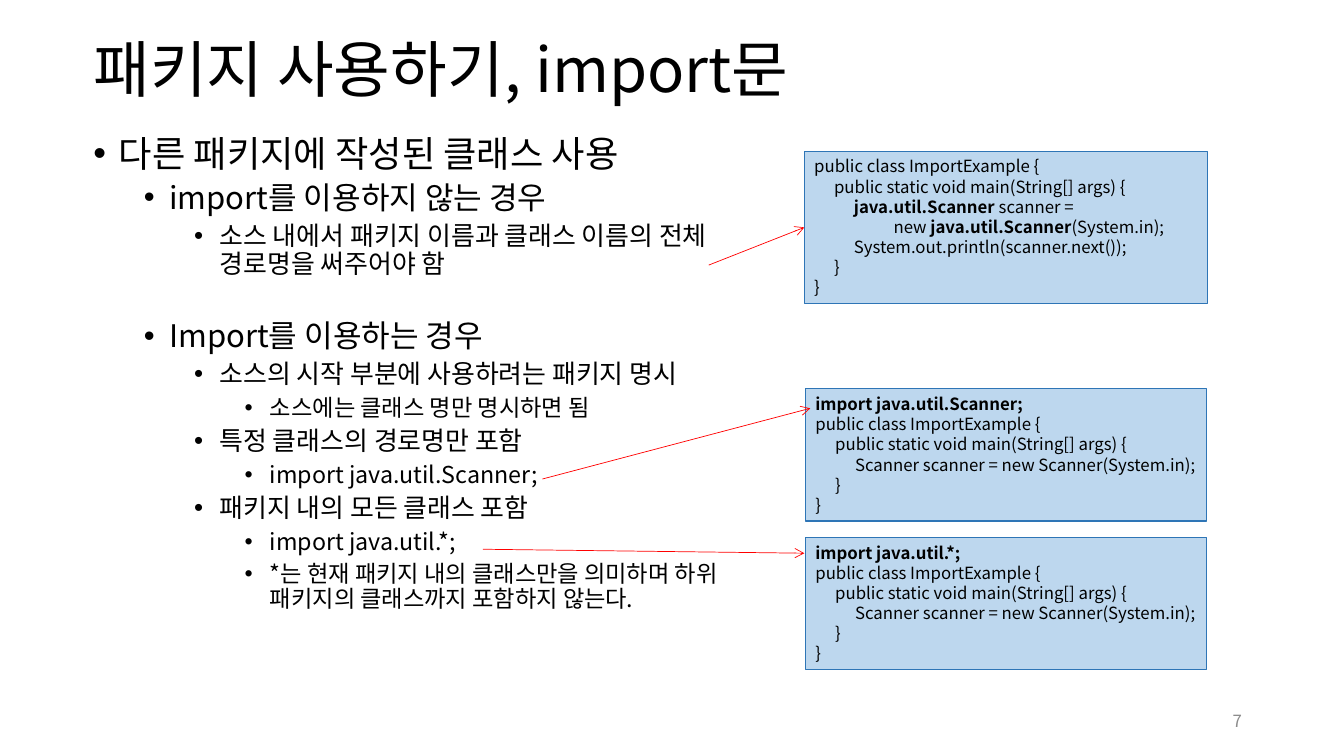
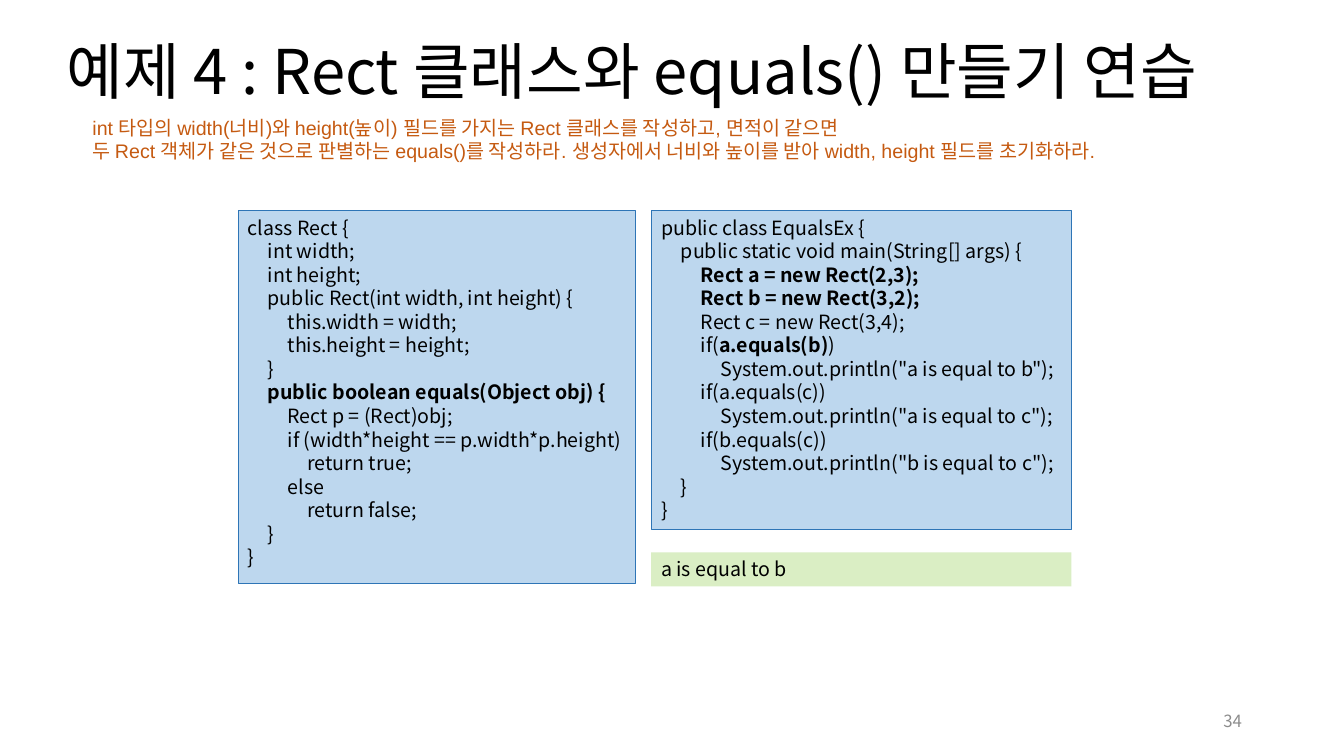
"""Build two lecture slides on Java imports and on an equals() exercise."""
from dataclasses import dataclass

from lxml.etree import SubElement
from pptx import Presentation
from pptx.dml.color import RGBColor
from pptx.enum.shapes import MSO_CONNECTOR as Connector, MSO_SHAPE as Shape
from pptx.enum.text import MSO_ANCHOR as Anchor, MSO_AUTO_SIZE as AutoSize, PP_ALIGN as Align
from pptx.oxml.ns import qn
from pptx.util import Cm, Pt


@dataclass(frozen=True)
class Theme:
    font: str = "Noto Sans CJK KR"
    statement_font: str = "Arial"
    ink: str = "000000"
    muted: str = "8C8C8C"
    statement: str = "C55A11"
    code_fill: str = "BDD7EE"
    code_line: str = "2E75B6"
    output_fill: str = "DAEEC4"
    arrow: str = "FF0000"
    title_size: float = 44
    number_size: float = 12
    import_code_size: float = 12
    exercise_size: float = 14
    level_sizes: tuple = (25.9, 22.2, 18.5, 16.6)
    line_spacing: float = 0.9
    code_tab: float = 0.5


THEME = Theme()
TITLE_ONLY, TITLE_AND_BODY = 5, 1
BOLD_MARK = "`"

IMPORT_TITLE = "패키지 사용하기, import문"
IMPORT_TITLE_AREA = (2.1, 0, 29.21, 3.68)
OUTLINE_AREA = (2.1, 3.3, 17.27, 13)
OUTLINE = [
    (0, "다른 패키지에 작성된 클래스 사용", 0),
    (1, "import를 이용하지 않는 경우", 5),
    (2, "소스 내에서 패키지 이름과 클래스 이름의 전체 경로명을 써주어야 함", 5),
    (1, "Import를 이용하는 경우", 30),
    (2, "소스의 시작 부분에 사용하려는 패키지 명시", 5),
    (3, "소스에는 클래스 명만 명시하면 됨", 5),
    (2, "특정 클래스의 경로명만 포함", 5),
    (3, "import java.util.Scanner;", 5),
    (2, "패키지 내의 모든 클래스 포함", 5),
    (3, "import java.util.*;", 5),
    (3, "*는 현재 패키지 내의 클래스만을 의미하며 하위 패키지의 클래스까지 포함하지 않는다.", 5),
]

QUALIFIED_CODE = """public class ImportExample {
    public static void main(String[] args) {
        `java.util.Scanner` scanner =
                new `java.util.Scanner`(System.in);
        System.out.println(scanner.next());
    }
}"""
IMPORTED_CODE = """`import java.util.%s;`
public class ImportExample {
    public static void main(String[] args) {
        Scanner scanner = new Scanner(System.in);
    }
}"""
IMPORT_EXAMPLES = [
    (QUALIFIED_CODE, (20.27, 3.81, 10.16, 3.84)),
    (IMPORTED_CODE % "Scanner", (20.3, 9.8, 10.11, 3.33)),
    (IMPORTED_CODE % "*", (20.3, 13.54, 10.11, 3.33)),
]
JOINED_ARROW_START = (17.86, 6.68)
FREE_ARROWS = [((13.67, 12.07), (20.42, 10.29)), ((12.17, 13.84), (20.27, 13.94))]

EXERCISE_TITLE = "예제 4 : Rect 클래스와 equals() 만들기 연습"
EXERCISE_TITLE_AREA = (1.42, 0.05, 31.65, 3.68)
STATEMENT_AREA = (2.08, 2.79, 29.21, 1.45)
STATEMENT = """int 타입의 width(너비)와 height(높이) 필드를 가지는 Rect 클래스를 작성하고, 면적이 같으면
두 Rect 객체가 같은 것으로 판별하는 equals()를 작성하라. 생성자에서 너비와 높이를 받아 width, height 필드를 초기화하라."""
RECT_CODE = """class Rect {
    int width;
    int height;
    public Rect(int width, int height) {
        this.width = width;
        this.height = height;
    }
    `public boolean equals(Object obj) {`
        Rect p = (Rect)obj;
        if (width*height == p.width*p.height)
            return true;
        else
            return false;
    }
}"""
EQUALS_CODE = """public class EqualsEx {
    public static void main(String[] args) {
        `Rect a = new Rect(2,3);`
        `Rect b = new Rect(3,2);`
        Rect c = new Rect(3,4);
        if(`a.equals(b)`)
            System.out.println("a is equal to b");
        if(a.equals(c))
            System.out.println("a is equal to c");
        if(b.equals(c))
            System.out.println("b is equal to c");
    }
}"""
EXERCISE_CODE = [
    (RECT_CODE, (6, 5.31, 10.01, 9.4)),
    (EQUALS_CODE, (16.41, 5.31, 10.59, 8.03)),
]
OUTPUT = "a is equal to b"
OUTPUT_AREA = (16.41, 13.92, 10.59, 0.86)
NUMBER_AREA = (23.93, 17.65, 7.62, 1.02)


def lengths(values):
    return [Cm(value) for value in values]


def color(code):
    return RGBColor.from_string(code)


def add_run(paragraph, text, size, ink=THEME.ink, font=THEME.font, bold=False):
    run = paragraph.add_run()
    run.text = text
    run.font.size = Pt(size)
    run.font.bold = bold
    run.font.name = font
    run.font.color.rgb = color(ink)
    SubElement(run._r.rPr, qn("a:ea"), typeface=THEME.font)


def paragraphs(frame, count):
    return [frame.paragraphs[0]] + [frame.add_paragraph() for _ in range(count - 1)]


def place(part, area):
    part.left, part.top, part.width, part.height = lengths(area)
    part.text_frame.auto_size = AutoSize.NONE
    part.text_frame.word_wrap = True
    return part.text_frame


def set_title(slide, text, area):
    frame = place(slide.shapes.title, area)
    frame.vertical_anchor = Anchor.MIDDLE
    heading = frame.paragraphs[0]
    heading.alignment = Align.LEFT
    heading.line_spacing = THEME.line_spacing
    add_run(heading, text, THEME.title_size)


def fill_outline(body):
    frame = place(body, OUTLINE_AREA)
    for item, (level, text, before) in zip(paragraphs(frame, len(OUTLINE)), OUTLINE):
        item.level = level
        item.line_spacing = THEME.line_spacing
        item.space_before = Pt(before)
        props = item._p.get_or_add_pPr()
        props.set("marL", str(Cm(0.64 + 1.27 * level)))
        props.set("indent", str(Cm(-0.64)))
        SubElement(props, qn("a:buFont"), typeface="Arial")
        SubElement(props, qn("a:buChar"), char="•")
        add_run(item, text, THEME.level_sizes[level])


def add_panel(slide, area, fill, border=None):
    panel = slide.shapes.add_shape(Shape.RECTANGLE, *lengths(area))
    panel.shadow.inherit = False
    panel.fill.solid()
    panel.fill.fore_color.rgb = color(fill)
    if border:
        panel.line.color.rgb = color(border)
        panel.line.width = Pt(0.75)
    else:
        panel.line.fill.background()
    panel.text_frame.word_wrap = True
    panel.text_frame.vertical_anchor = Anchor.TOP
    return panel


def add_code(slide, code, area, size):
    panel = add_panel(slide, area, THEME.code_fill, THEME.code_line)
    lines = code.replace("    ", "\t").splitlines()
    for row, line in zip(paragraphs(panel.text_frame, len(lines)), lines):
        row.alignment = Align.LEFT
        stops = SubElement(row._p.get_or_add_pPr(), qn("a:tabLst"))
        for step in range(1, 6):
            SubElement(stops, qn("a:tab"), pos=str(Cm(THEME.code_tab * step)), algn="l")
        for index, part in enumerate(line.split(BOLD_MARK)):
            if part:
                add_run(row, part, size, bold=index % 2 == 1)
    return panel


def add_arrow(slide, start, end):
    arrow = slide.shapes.add_connector(Connector.STRAIGHT, *lengths(start + end))
    arrow.line.color.rgb = color(THEME.arrow)
    arrow.line.width = Pt(0.5)
    SubElement(arrow.line._get_or_add_ln(), qn("a:tailEnd"), type="arrow")
    SubElement(arrow._element.spPr, qn("a:effectLst"))
    return arrow


def add_number(slide, number):
    frame = place(slide.shapes.add_textbox(*lengths(NUMBER_AREA)), NUMBER_AREA)
    frame.vertical_anchor = Anchor.MIDDLE
    frame.paragraphs[0].alignment = Align.RIGHT
    add_run(frame.paragraphs[0], str(number), THEME.number_size, THEME.muted)


def build_import_slide(deck):
    slide = deck.slides.add_slide(deck.slide_layouts[TITLE_AND_BODY])
    set_title(slide, IMPORT_TITLE, IMPORT_TITLE_AREA)
    fill_outline(slide.placeholders[1])
    examples = [add_code(slide, code, area, THEME.import_code_size)
                for code, area in IMPORT_EXAMPLES]
    add_number(slide, 7)
    left, top, _, height = IMPORT_EXAMPLES[0][1]
    joined = add_arrow(slide, JOINED_ARROW_START, (left, top + height / 2))
    joined.end_connect(examples[0], 1)
    for start, end in FREE_ARROWS:
        add_arrow(slide, start, end)


def build_exercise_slide(deck):
    slide = deck.slides.add_slide(deck.slide_layouts[TITLE_ONLY])
    set_title(slide, EXERCISE_TITLE, EXERCISE_TITLE_AREA)
    statement = place(slide.shapes.add_textbox(*lengths(STATEMENT_AREA)), STATEMENT_AREA)
    lines = STATEMENT.splitlines()
    for row, line in zip(paragraphs(statement, len(lines)), lines):
        add_run(row, line, THEME.exercise_size, THEME.statement, THEME.statement_font)
    for code, area in EXERCISE_CODE:
        add_code(slide, code, area, THEME.exercise_size)
    output = add_panel(slide, OUTPUT_AREA, THEME.output_fill).text_frame.paragraphs[0]
    output.alignment = Align.LEFT
    add_run(output, OUTPUT, THEME.exercise_size)
    add_number(slide, 34)


def main():
    deck = Presentation()
    deck.slide_width, deck.slide_height = Cm(33.87), Cm(19.05)
    build_import_slide(deck)
    build_exercise_slide(deck)
    deck.save("out.pptx")


if __name__ == "__main__":
    main()
